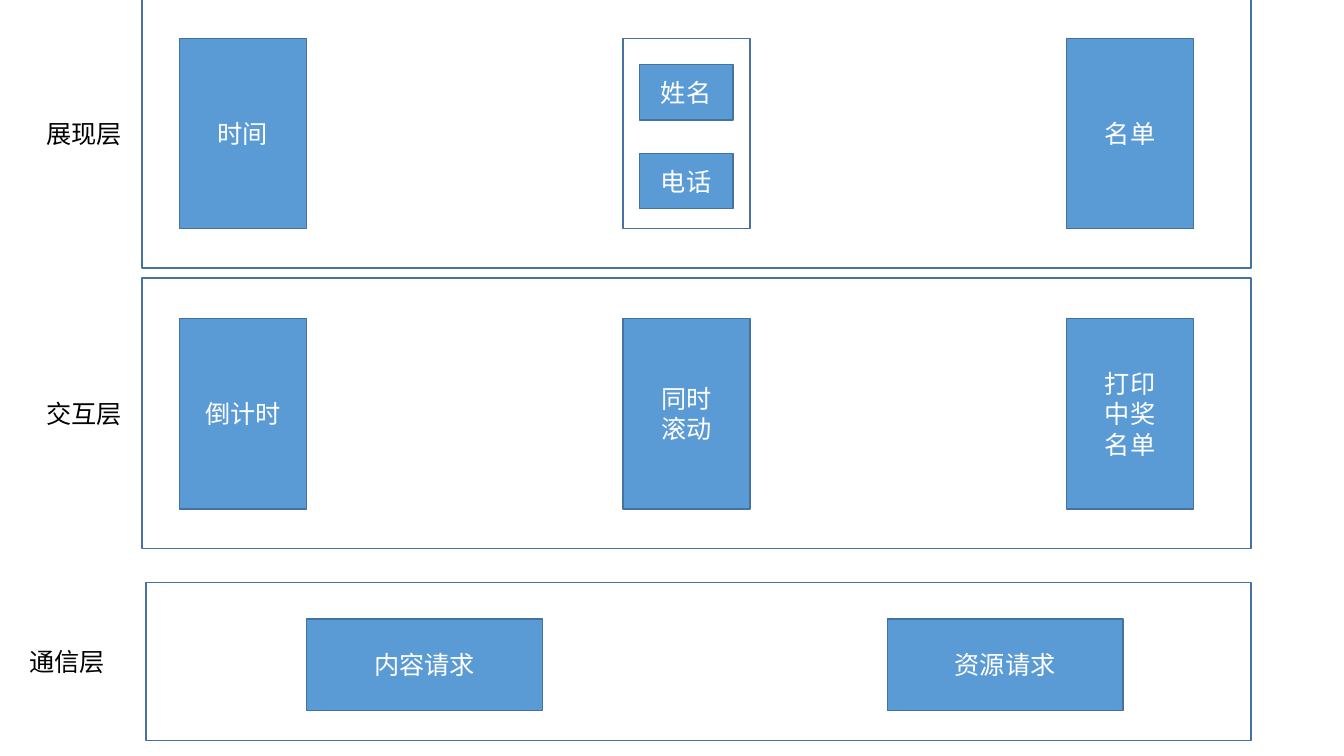
from collections import namedtuple

from pptx import Presentation
from pptx.dml.color import RGBColor
from pptx.enum.shapes import MSO_SHAPE as Shape
from pptx.enum.text import MSO_ANCHOR as Anchor, MSO_AUTO_SIZE as AutoSize, PP_ALIGN as Align
from pptx.util import Inches, Pt

COLORS = {"fill": "5B9BD5", "line": "43739E", "light": "FFFFFF", "dark": "000000"}
FONT = {"name": "Calibri", "size": Pt(18)}
CARD_FRAME = {"word_wrap": True, "vertical_anchor": Anchor.MIDDLE}
LABEL_FRAME = {"word_wrap": False, "auto_size": AutoSize.SHAPE_TO_FIT_TEXT}

Box = namedtuple("Box", "left top width height")

BAND = Box(1.41, -0.02, 11, 2.68)
BAND_PITCH = 2.78
COMMUNICATION = Box(1.45, 5.78, 10.96, 1.57)
CARD = Box(0.37, 0.4, 1.26, 1.89)
CARD_PITCH = 4.4
REQUEST = Box(1.59, 0.36, 2.34, 0.91)
REQUEST_PITCH = 5.76
FIELD = Box(0.16, 0.26, 0.93, 0.55)
FIELD_PITCH = 0.88
LABEL_SIZE = (0.96, 0.4)


def color(name):
    return RGBColor.from_string(COLORS[name])


def inside(outer, part, across=0, down=0):
    return Box(outer.left + part.left + across, outer.top + part.top + down,
               part.width, part.height)


def apply(target, values):
    for key, value in values.items():
        setattr(target, key, value)


def write(frame, text, ink, align, settings):
    apply(frame, settings)
    frame.text = text
    for paragraph in frame.paragraphs:
        paragraph.alignment = align
        apply(paragraph.font, FONT)
        paragraph.font.color.rgb = color(ink)


def add_panel(slide, box, text="", filled=False):
    panel = slide.shapes.add_shape(Shape.RECTANGLE, *map(Inches, box))
    panel.shadow.inherit = False
    panel.line.color.rgb = color("line")
    panel.line.width = Pt(1)
    if filled:
        panel.fill.solid()
        panel.fill.fore_color.rgb = color("fill")
    else:
        panel.fill.background()
    if text:
        write(panel.text_frame, text, "light", Align.CENTER, CARD_FRAME)


def add_label(slide, band, text, offset):
    width, height = LABEL_SIZE
    box = Box(band.left - offset, band.top + (band.height - height) / 2, width, height)
    label = slide.shapes.add_textbox(*map(Inches, box))
    write(label.text_frame, text, "dark", Align.LEFT, LABEL_FRAME)


def add_fields(slide, card, fields):
    add_panel(slide, card)
    for row, field in enumerate(fields):
        add_panel(slide, inside(card, FIELD, down=row * FIELD_PITCH), field, filled=True)


def add_layer(slide, band, title, items, part, pitch, label_offset=1.05):
    add_panel(slide, band)
    add_label(slide, band, title, label_offset)
    for column, item in enumerate(items):
        box = inside(band, part, across=column * pitch)
        if isinstance(item, tuple):
            add_fields(slide, box, item)
        else:
            add_panel(slide, box, item, filled=True)


def main():
    deck = Presentation()
    deck.slide_width, deck.slide_height = Inches(13.33), Inches(7.5)
    slide = deck.slides.add_slide(deck.slide_layouts[6])
    layers = {
        "展现层": ["时间", ("姓名", "电话"), "名单"],
        "交互层": ["倒计时", "同时\n滚动", "打印\n中奖\n名单"],
    }
    for row, (title, items) in enumerate(layers.items()):
        band = BAND._replace(top=BAND.top + row * BAND_PITCH)
        add_layer(slide, band, title, items, CARD, CARD_PITCH)
    add_layer(slide, COMMUNICATION, "通信层", ["内容请求", "资源请求"],
              REQUEST, REQUEST_PITCH, label_offset=1.26)
    deck.save("out.pptx")


if __name__ == "__main__":
    main()
